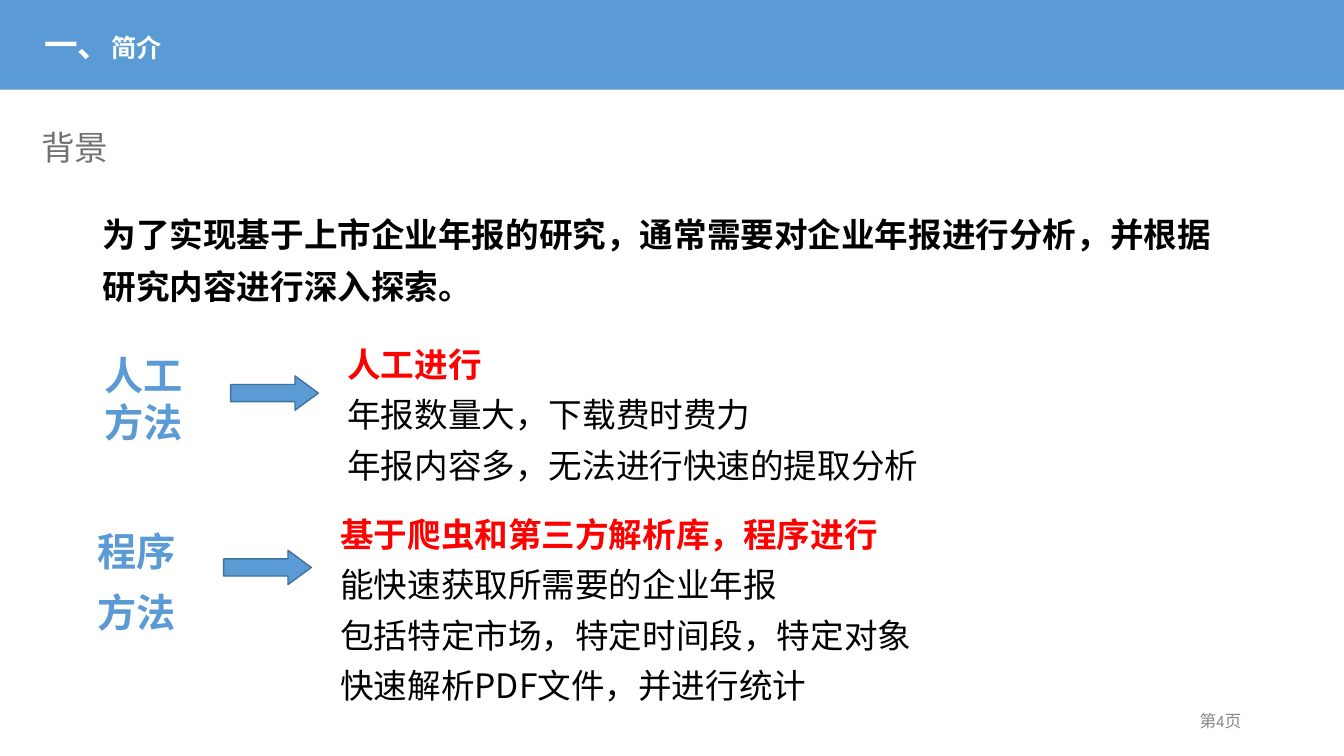
from pptx import Presentation
from pptx import util as u
from pptx.dml.color import RGBColor
from pptx.enum import shapes, text
from pptx.oxml.ns import qn
from lxml import etree

BLUE, RED, BLACK, WHITE = "5B9BD5", "FF0000", "000000", "FFFFFF"
SANS = "Noto Sans CJK SC"


def color(value):
    return RGBColor.from_string(value)


def write(shape, lines, margin=0.1, spacing=1.0, before=0, face=SANS):
    frame = shape.text_frame
    frame.word_wrap = True
    frame.margin_left = frame.margin_right = u.Inches(margin)
    for index, (words, size, ink, bold) in enumerate(lines):
        para = frame.paragraphs[0] if index == 0 else frame.add_paragraph()
        para.text = words
        para.alignment = text.PP_ALIGN.LEFT
        para.line_spacing = spacing
        para.space_before = u.Pt(before)
        para.font.name = face
        para.font.size = u.Pt(size)
        para.font.bold = bold
        para.font.color.rgb = color(ink)
        latin = para._p.pPr.find(qn("a:defRPr")).find(qn("a:latin"))
        latin.addnext(etree.Element(qn("a:ea"), typeface=face))
    return frame


deck = Presentation()
deck.slide_width, deck.slide_height = u.Inches(13.34), u.Inches(7.5)
page = deck.slides.add_slide(deck.slide_layouts[6])


def add_box(left, top, width, height):
    return page.shapes.add_textbox(*map(u.Inches, (left, top, width, height)))


banner = page.shapes.add_shape(
    shapes.MSO_SHAPE.RECTANGLE, u.Inches(-0.03), u.Inches(-0.02), u.Inches(13.37), u.Inches(0.91))
banner.shadow.inherit = False
banner.fill.solid()
banner.fill.fore_color.rgb = color(BLUE)
banner.line.fill.background()
frame = write(banner, [("一、", 24, WHITE, True)], margin=0.47)
frame.vertical_anchor = text.MSO_ANCHOR.MIDDLE
span = frame.paragraphs[0].add_run()
span.text = "简介"
span.font.size = u.Pt(18)

write(add_box(0.31, 1.09, 1.21, 0.62), [("背景", 24, "767171", False)], spacing=1.3)

summary = "为了实现基于上市企业年报的研究，通常需要对企业年报进行分析，并根据研究内容进行深入探索。"
write(add_box(0.92, 1.95, 11.5, 1.14), [(summary, 24, BLACK, True)], spacing=1.3)

methods = [
    (0.65, 3.44, 3.73, 3.26, 1.6, ["人工方法"], "人工进行",
     ["年报数量大，下载费时费力", "年报内容多，无法进行快速的提取分析"]),
    (0.58, 5.18, 5.46, 4.95, 2.1, ["程序", "方法"], "基于爬虫和第三方解析库，程序进行",
     ["能快速获取所需要的企业年报", "包括特定市场，特定时间段，特定对象", "快速解析PDF文件，并进行统计"]),
]
for left, label_top, arrow_top, detail_top, detail_height, label, heading, details in methods:
    write(add_box(left, label_top, 1.64, 1.1), [(words, 28, BLUE, True) for words in label],
          margin=0.39, before=10)

    arrow = page.shapes.add_shape(
        shapes.MSO_SHAPE.RIGHT_ARROW, u.Inches(left + 1.64), u.Inches(arrow_top),
        u.Inches(0.87), u.Inches(0.34))
    arrow.adjustments[1] = 0.68
    arrow.shadow.inherit = False
    arrow.fill.solid()
    arrow.fill.fore_color.rgb = color(BLUE)
    arrow.line.color.rgb = color("41719C")
    arrow.line.width = u.Pt(1)

    lines = [(heading, 24, RED, True)] + [(words, 24, BLACK, False) for words in details]
    write(add_box(left + 2.7, detail_top, 9.06, detail_height), lines, spacing=1.25)

frame = write(add_box(9.42, 6.95, 3, 0.4), [("第4页", 12, "898989", False)], face="League Spartan")
frame.vertical_anchor = text.MSO_ANCHOR.MIDDLE
frame.paragraphs[0].alignment = text.PP_ALIGN.RIGHT

deck.save("out.pptx")
